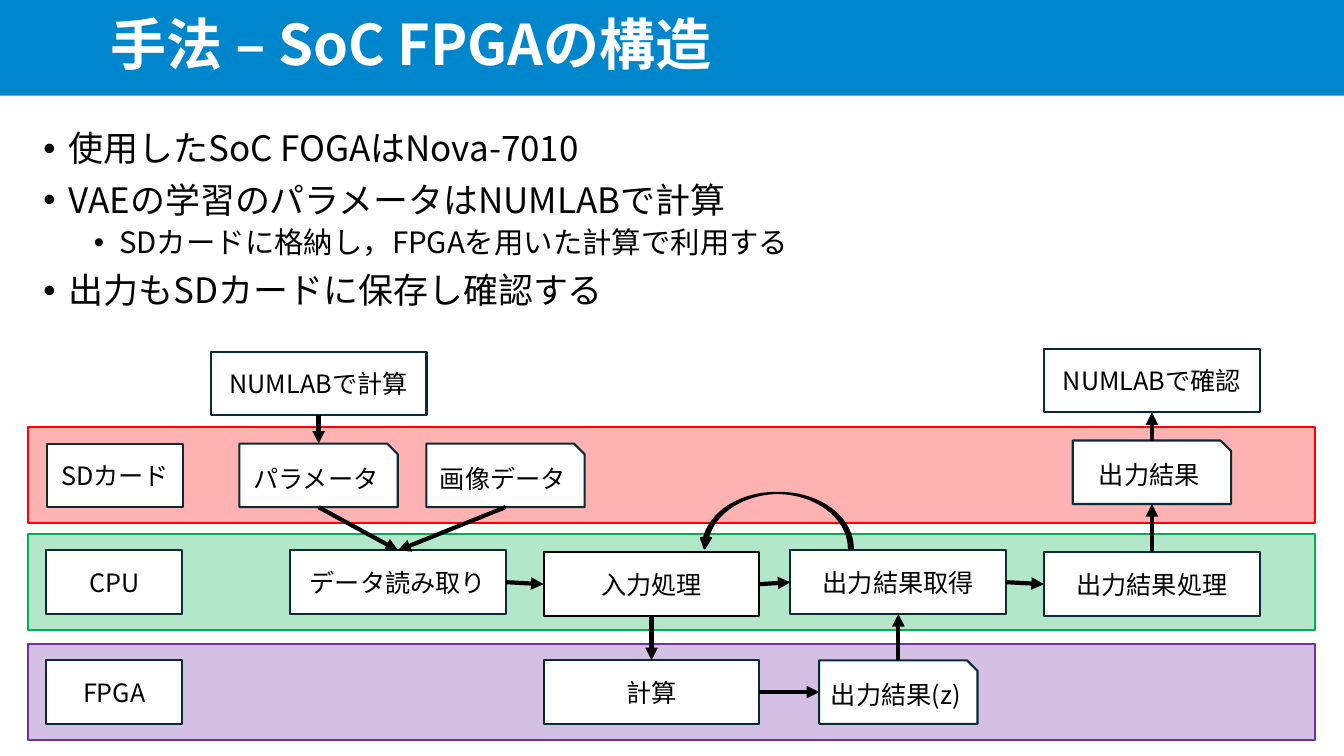
from lxml import etree
from pptx import Presentation
from pptx.dml.color import RGBColor
from pptx.enum import shapes, text
from pptx.oxml.ns import qn
from pptx.util import Cm, Pt

FONT = "Noto Sans CJK JP"
BLACK, WHITE, NAVY = "000000", "FFFFFF", "092A39"
BOX_H, BOX_W, FILE_W, LABEL_W = 1.6, 5.44, 3.99, 3.43
TOP, LEFT, BOTTOM, RIGHT = range(4)
RECT = shapes.MSO_SHAPE.RECTANGLE
SNIPPED = shapes.MSO_SHAPE.SNIP_1_RECTANGLE

BULLETS = [
    (0, "使用したSoC FOGAはNova-7010"),
    (0, "VAEの学習のパラメータはNUMLABで計算"),
    (1, "SDカードに格納し，FPGAを用いた計算で利用する"),
    (0, "出力もSDカードに保存し確認する"),
]
# top, colour
BANDS = [(16.23, "7030A0"), (13.46, "00B050"), (10.77, "FF0000")]
# name: text, shape, width, centre x, top, line colour
BOXES = {
    "params": ("パラメータ", SNIPPED, FILE_W, 8.03, 11.18, NAVY),
    "train": ("NUMLABで計算", RECT, BOX_W, 8.03, 8.86, NAVY),
    "read": ("データ読み取り", RECT, BOX_W, 10.03, 13.87, NAVY),
    "input": ("入力処理", RECT, BOX_W, 16.42, 13.92, BLACK),
    "compute": ("計算", RECT, BOX_W, 16.42, 16.64, NAVY),
    "z": ("出力結果(z)", SNIPPED, FILE_W, 22.64, 16.64, NAVY),
    "images": ("画像データ", SNIPPED, FILE_W, 12.74, 11.18, NAVY),
    "fetch": ("出力結果取得", RECT, BOX_W, 22.64, 13.87, NAVY),
    "process": ("出力結果処理", RECT, BOX_W, 29.03, 13.92, NAVY),
    "result": ("出力結果", SNIPPED, FILE_W, 29.03, 11.1, NAVY),
    "check": ("NUMLABで確認", RECT, BOX_W, 29.03, 8.79, NAVY),
    "sd_label": ("SDカード", RECT, LABEL_W, 2.9, 11.18, NAVY),
    "cpu_label": ("CPU", RECT, LABEL_W, 2.88, 13.87, NAVY),
    "fpga_label": ("FPGA", RECT, LABEL_W, 2.88, 16.64, NAVY),
}
ARROWS = [
    ("train", BOTTOM, "params", TOP),
    ("params", BOTTOM, "read", TOP),
    ("images", BOTTOM, "read", TOP),
    ("read", RIGHT, "input", LEFT),
    ("input", BOTTOM, "compute", TOP),
    ("compute", RIGHT, "z", LEFT),
    ("input", RIGHT, "fetch", LEFT),
    ("fetch", RIGHT, "process", LEFT),
    ("process", TOP, "result", BOTTOM),
    ("z", TOP, "fetch", BOTTOM),
    ("result", TOP, "check", BOTTOM),
]


def rgb(value):
    return RGBColor.from_string(value)


def place(sp, x, y, w, h):
    sp.left, sp.top, sp.width, sp.height = Cm(x), Cm(y), Cm(w), Cm(h)


def format_runs(p, size, color=BLACK, bold=False):
    for r in p.runs:
        r.font.size, r.font.bold, r.font.name = Pt(size), bold, FONT
        r.font.color.rgb = rgb(color)
        etree.SubElement(r.font._element, qn("a:ea"), typeface=FONT)


def add_filled(slide, kind, x, y, w, h, fill, line, alpha=None):
    sp = slide.shapes.add_shape(kind, Cm(x), Cm(y), Cm(w), Cm(h))
    sp.shadow.inherit = False
    sp.fill.solid()
    sp.fill.fore_color.rgb = rgb(fill)
    sp.line.color.rgb = rgb(line)
    sp.line.width = Pt(1.5)
    if alpha:
        color = sp.fill._xPr.find(qn("a:solidFill"))[0]
        etree.SubElement(color, qn("a:alpha"), val=str(alpha * 1000))
    return sp


def add_box(slide, label, kind, w, center, top, line):
    sp = add_filled(slide, kind, center - w / 2, top, w, BOX_H, WHITE, line)
    tf = sp.text_frame
    tf.text = label
    tf.word_wrap = True
    tf.vertical_anchor = text.MSO_ANCHOR.MIDDLE
    p = tf.paragraphs[0]
    p.alignment = text.PP_ALIGN.CENTER
    format_runs(p, 18)
    return sp


def add_arrow(slide, start, start_side, end, end_side):
    line = slide.shapes.add_connector(shapes.MSO_CONNECTOR.STRAIGHT, 0, 0, 0, 0)
    line.begin_connect(start, start_side)
    line.end_connect(end, end_side)
    line.line.color.rgb = rgb(BLACK)
    line.line.width = Pt(3)
    etree.SubElement(line.line._get_or_add_ln(), qn("a:tailEnd"), type="triangle")
    etree.SubElement(line._element.spPr, qn("a:effectLst"))


def fill_title(sp):
    place(sp, 0, 0, 33.87, 2.41)
    sp.fill.solid()
    sp.fill.fore_color.rgb = rgb("0086CD")
    tf = sp.text_frame
    tf.text = "手法 – SoC FPGAの構造"
    tf.auto_size = text.MSO_AUTO_SIZE.NONE
    tf.vertical_anchor = text.MSO_ANCHOR.MIDDLE
    tf.margin_left = Cm(2.79)
    p = tf.paragraphs[0]
    p.alignment = text.PP_ALIGN.LEFT
    p.line_spacing = 0.9
    format_runs(p, 40, WHITE, True)


def fill_bullets(sp):
    place(sp, 0.84, 3.18, 22.94, 5.13)
    tf = sp.text_frame
    tf.text = "\n".join(line for _, line in BULLETS)
    tf.auto_size = text.MSO_AUTO_SIZE.NONE
    for p, (level, _) in zip(tf.paragraphs, BULLETS):
        p.level = level
        p.line_spacing = 0.9
        p.space_before = Pt(5 if level else 10)
        pPr = p._p.get_or_add_pPr()
        pPr.set("marL", str(Cm(1.91 if level else 0.64)))
        pPr.set("indent", str(Cm(-0.64)))
        etree.SubElement(pPr, qn("a:buFont"), typeface="Arial")
        etree.SubElement(pPr, qn("a:buChar"), char="•")
        format_runs(p, 21 if level else 25)


def main():
    prs = Presentation()
    prs.slide_width, prs.slide_height = Cm(33.87), Cm(19.05)
    slide = prs.slides.add_slide(prs.slide_layouts[1])

    # Heading and list
    fill_title(slide.shapes.title)
    fill_bullets(slide.placeholders[1])

    # Hardware bands
    for top, color in BANDS:
        add_filled(slide, RECT, 0.71, top, 32.44, 2.41, color, color, alpha=30)

    # Data flow
    boxes = {name: add_box(slide, *box) for name, box in BOXES.items()}
    for start, start_side, end, end_side in ARROWS:
        add_arrow(slide, boxes[start], start_side, boxes[end], end_side)

    # Feedback from the fetched output to the input
    loop = add_filled(slide, shapes.MSO_SHAPE.CURVED_UP_ARROW,
                      17.63, 12.42, 3.86, 1.4, BLACK, BLACK)
    loop.rotation = 180
    for i, value in enumerate((0.07, 0.18, 0.19)):
        loop.adjustments[i] = value

    prs.save("out.pptx")


if __name__ == "__main__":
    main()
